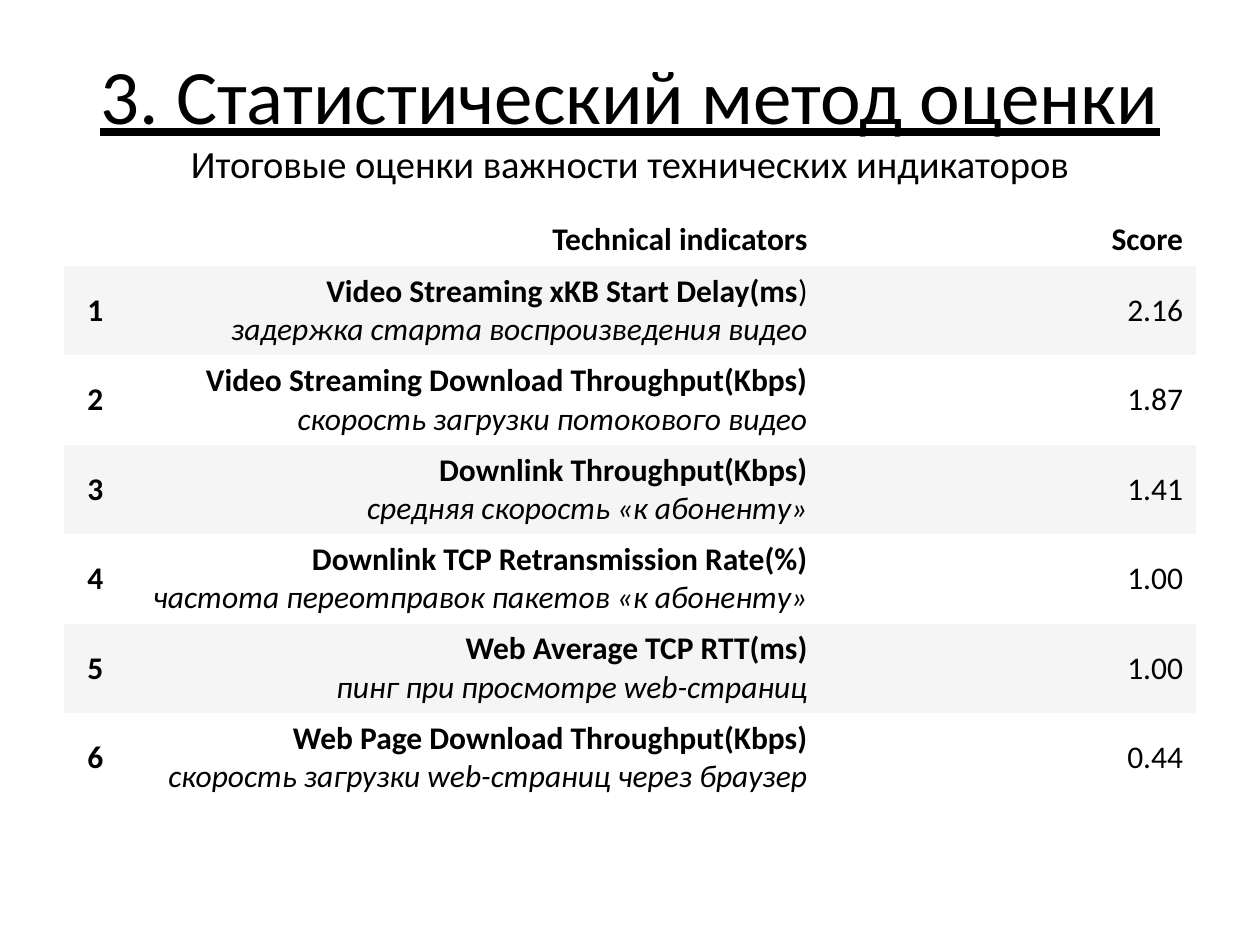
from dataclasses import dataclass

from pptx import Presentation
from pptx.dml.color import RGBColor
from pptx.enum.text import MSO_ANCHOR, PP_ALIGN
from pptx.oxml.ns import qn
from pptx.util import Inches, Pt

CENTER, RIGHT = PP_ALIGN.CENTER, PP_ALIGN.RIGHT
MIDDLE = MSO_ANCHOR.MIDDLE
BLANK_LAYOUT = 6
NO_STYLE_NO_GRID = "{2D5ABB26-0587-4C30-8999-92F81FD0307C}"


@dataclass(frozen=True)
class Theme:
    font: str = "Calibri"
    text: RGBColor = RGBColor(0, 0, 0)
    plain_row: RGBColor = RGBColor(0xFF, 0xFF, 0xFF)
    shaded_row: RGBColor = RGBColor(0xF5, 0xF5, 0xF5)
    title_size: float = 44
    subtitle_size: float = 22
    table_size: float = 18


THEME = Theme()
SLIDE_WIDTH, SLIDE_HEIGHT = Inches(10), Inches(7.5)
COLUMN_WIDTHS = (0.41, 5.59, 2.98)
HEADER_HEIGHT, INDICATOR_HEIGHT = 0.41, 0.71

BOLD = {"bold": True}
ITALIC = {"italic": True}
PLAIN = {}

# Indicator as (text, format) runs, its description, its score
INDICATORS = [
    ([("Video Streaming xKB Start Delay(ms", BOLD), (")", PLAIN)],
     "задержка старта воспроизведения видео", "2.16"),
    ([("Video Streaming Download Throughput(Kbps)", BOLD)],
     "скорость загрузки потокового видео", "1.87"),
    ([("Downlink Throughput(Kbps)", BOLD)],
     "средняя скорость «к абоненту»", "1.41"),
    ([("Downlink TCP Retransmission Rate(%)", BOLD)],
     "частота переотправок пакетов «к абоненту»", "1.00"),
    ([("Web Average TCP RTT(ms)", BOLD)],
     "пинг при просмотре web-страниц", "1.00"),
    ([("Web Page Download Throughput(Kbps)", BOLD)],
     "скорость загрузки web-страниц через браузер", "0.44"),
]


def add_run(paragraph, text, size, formats):
    run = paragraph.add_run()
    run.text = text
    run.font.color.rgb = THEME.text
    for name, value in {"name": THEME.font, "size": Pt(size), **formats}.items():
        setattr(run.font, name, value)


def add_title(slide, title, subtitle):
    box = slide.shapes.add_textbox(
        int(SLIDE_WIDTH * 0.05), int(SLIDE_HEIGHT * 0.04),
        int(SLIDE_WIDTH * 0.9), Inches(1.25))
    frame = box.text_frame
    frame.word_wrap = True
    frame.vertical_anchor = MIDDLE
    paragraph = frame.paragraphs[0]
    paragraph.alignment = CENTER
    add_run(paragraph, title, THEME.title_size, {"underline": True})
    paragraph.add_line_break()
    add_run(paragraph, subtitle, THEME.subtitle_size, {"underline": False})


def fill_cell(cell, lines, color):
    """Write one paragraph per line; a line is a list of (text, format) runs."""
    cell.fill.solid()
    cell.fill.fore_color.rgb = color
    cell.vertical_anchor = MIDDLE
    frame = cell.text_frame
    for index, runs in enumerate(lines):
        paragraph = frame.add_paragraph() if index else frame.paragraphs[0]
        paragraph.alignment = RIGHT
        for text, formats in runs:
            add_run(paragraph, text, THEME.table_size, formats)


def add_score_table(slide, rows):
    heights = [HEADER_HEIGHT] + [INDICATOR_HEIGHT] * (len(rows) - 1)
    frame = slide.shapes.add_table(
        len(rows), len(COLUMN_WIDTHS), Inches(0.51), Inches(1.7),
        Inches(sum(COLUMN_WIDTHS)), Inches(sum(heights)))
    table = frame.table
    table.first_row = table.horz_banding = False
    table._tbl.tblPr.find(qn("a:tableStyleId")).text = NO_STYLE_NO_GRID
    for column, width in zip(table.columns, COLUMN_WIDTHS):
        column.width = Inches(width)
    for index, (row, height, cells) in enumerate(zip(table.rows, heights, rows)):
        row.height = Inches(height)
        color = THEME.shaded_row if index % 2 else THEME.plain_row
        for cell, lines in zip(row.cells, cells):
            fill_cell(cell, lines, color)


def main():
    presentation = Presentation()
    presentation.slide_width, presentation.slide_height = SLIDE_WIDTH, SLIDE_HEIGHT
    slide = presentation.slides.add_slide(presentation.slide_layouts[BLANK_LAYOUT])

    # Heading
    add_title(slide, "3. Статистический метод оценки",
              "Итоговые оценки важности технических индикаторов")

    # Ranked indicators
    header = [[], [[("Technical indicators", BOLD)]], [[("Score", BOLD)]]]
    body = [
        [[[(str(rank), BOLD)]], [name, [(description, ITALIC)]], [[(score, PLAIN)]]]
        for rank, (name, description, score) in enumerate(INDICATORS, 1)
    ]
    add_score_table(slide, [header] + body)

    presentation.save("out.pptx")


if __name__ == "__main__":
    main()
